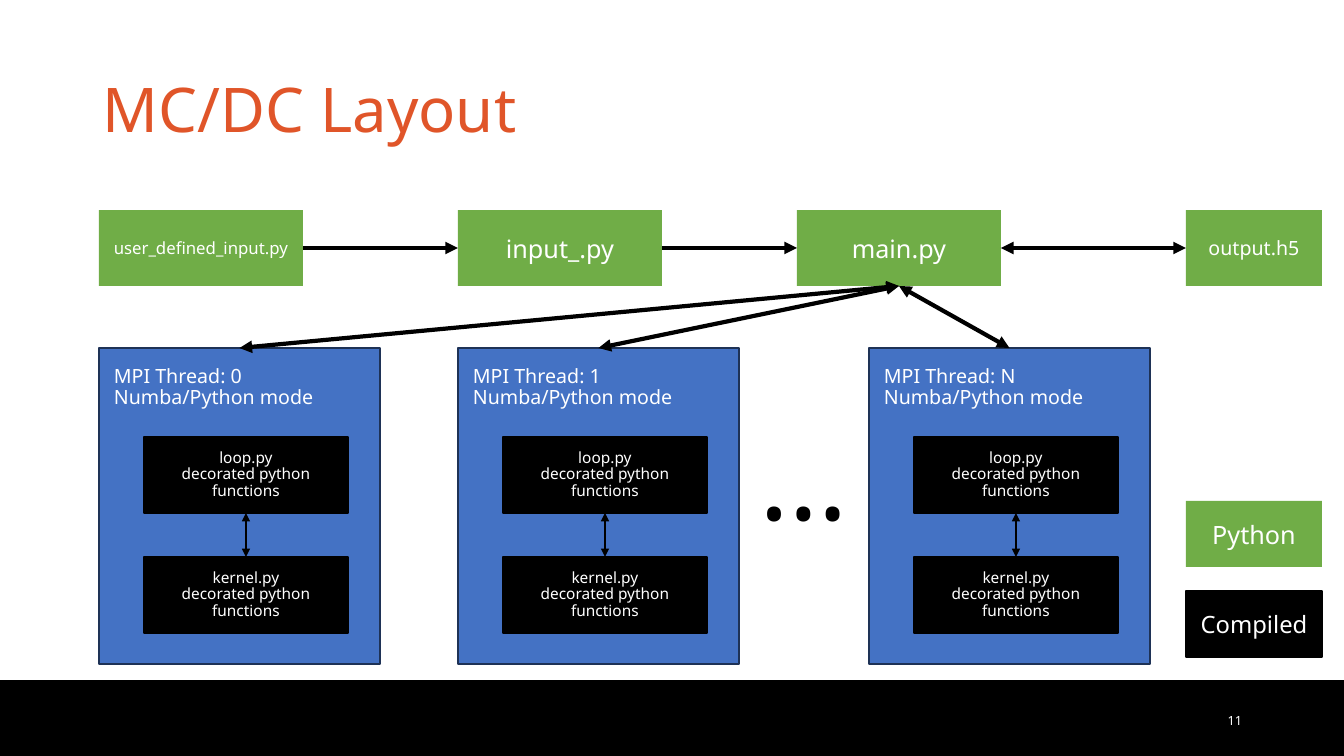
from lxml import etree
from pptx import Presentation
from pptx.dml.color import RGBColor
from pptx.enum.shapes import MSO_CONNECTOR, MSO_SHAPE
from pptx.enum.text import MSO_ANCHOR, PP_ALIGN
from pptx.oxml.ns import qn
from pptx.util import Pt

PX = 9071.43  # EMU per px
WIDTH, HEIGHT = 1344, 756
FONT = "Noto Sans"
ORANGE = RGBColor(0xE0, 0x55, 0x29)
GREEN = RGBColor(0x70, 0xAD, 0x47)
BLUE = RGBColor(0x44, 0x72, 0xC4)
NAVY = RGBColor(0x1E, 0x32, 0x56)
BLACK = RGBColor(0, 0, 0)
WHITE = RGBColor(0xFF, 0xFF, 0xFF)

RECT, STRAIGHT = MSO_SHAPE.RECTANGLE, MSO_CONNECTOR.STRAIGHT
LEFT, CENTER, RIGHT = PP_ALIGN.LEFT, PP_ALIGN.CENTER, PP_ALIGN.RIGHT
ANCHOR_TOP, ANCHOR_MIDDLE = MSO_ANCHOR.TOP, MSO_ANCHOR.MIDDLE
SITE_TOP, SITE_LEFT, SITE_BOTTOM, SITE_RIGHT = range(4)  # rectangle sites


def emu(*lengths):
    return [round(v * PX) for v in lengths]


def write(sp, text, size, color=WHITE, align=CENTER, anchor=ANCHOR_MIDDLE, spacing=None):
    tf = sp.text_frame
    tf.word_wrap = True
    tf.vertical_anchor = anchor
    p = tf.paragraphs[0]
    p.alignment = align
    p.line_spacing = spacing
    for i, line in enumerate(text.split("\n")):
        if i:
            p.add_line_break()
        r = p.add_run()
        r.text = line
        r.font.name = FONT
        r.font.size = Pt(size)
        r.font.color.rgb = color


def add_text(s, box, text, size, **style):
    write(s.shapes.add_textbox(*emu(*box)), text, size, **style)


def add_rect(s, box, fill, line=None):
    sp = s.shapes.add_shape(RECT, *emu(*box))
    sp.shadow.inherit = False
    sp.fill.solid()
    sp.fill.fore_color.rgb = fill
    if line is None:
        sp.line.fill.background()
    else:
        sp.line.color.rgb = line
        sp.line.width = Pt(1)
    return sp


def add_arrow(s, start, start_site, end, end_site, width=3, both=True):
    cxn = s.shapes.add_connector(STRAIGHT, 0, 0, 0, 0)
    cxn.begin_connect(start, start_site)
    cxn.end_connect(end, end_site)
    cxn.line.color.rgb = BLACK
    cxn.line.width = Pt(width)
    ln = cxn.line._get_or_add_ln()
    for tag in ("a:headEnd", "a:tailEnd") if both else ("a:tailEnd",):
        etree.SubElement(ln, qn(tag)).set("type", "triangle")
    etree.SubElement(cxn._element.spPr, qn("a:effectLst"))


def add_frame(s):
    """Footer bar, title and slide number."""
    add_rect(s, (0, 681, WIDTH, 75), BLACK, BLACK)
    add_text(s, (93, 40, 1055, 146), "MC/DC Layout", 44,
             color=ORANGE, align=LEFT, anchor=ANCHOR_MIDDLE, spacing=0.9)
    add_text(s, (950, 701, 302, 40), "11", 9, align=RIGHT)


def add_files(s, y):
    """Row of files from user input to output; returns the main.py box."""
    files = [(99, 204, "user_defined_input.py", 12), (458, 204, "input_.py", 18),
             (797, 204, "main.py", 18), (1186, 136, "output.h5", 14)]
    boxes = []
    for x, w, name, size in files:
        sp = add_rect(s, (x, y, w, 76), GREEN)
        write(sp, name, size)
        boxes.append(sp)
    user, reader, main_box, output = boxes
    add_arrow(s, user, SITE_RIGHT, reader, SITE_LEFT, both=False)
    add_arrow(s, reader, SITE_RIGHT, main_box, SITE_LEFT, both=False)
    add_arrow(s, main_box, SITE_RIGHT, output, SITE_LEFT)
    return main_box


def add_thread(s, x, y, rank):
    """One MPI thread panel with its two compiled modules."""
    panel = add_rect(s, (x, y, 281, 316), BLUE, NAVY)
    add_text(s, (x + 5, y + 14, 239, 57), f"MPI Thread: {rank}\nNumba/Python mode", 14,
             align=LEFT, anchor=ANCHOR_TOP, spacing=0.88)
    modules = []
    for dy, name in ((89, "loop.py"), (209, "kernel.py")):
        sp = add_rect(s, (x + 45, y + dy, 204, 76), BLACK, BLACK)
        write(sp, f"{name}\ndecorated python functions", 11, spacing=0.88)
        modules.append(sp)
    loop, kernel = modules
    add_arrow(s, loop, SITE_BOTTOM, kernel, SITE_TOP, width=1)
    return panel


def add_legend(s, x, y):
    """Colour key for Python and compiled parts."""
    write(add_rect(s, (x, y, 136, 66), GREEN), "Python", 18)
    write(add_rect(s, (x, y + 90, 136, 66), BLACK, BLACK), "Compiled", 17)


def main():
    prs = Presentation()
    prs.slide_width, prs.slide_height = emu(WIDTH, HEIGHT)
    s = prs.slides.add_slide(prs.slide_layouts[6])
    add_frame(s)
    main_box = add_files(s, 210)
    for x, rank in ((99, "0"), (458, "1"), (869, "N")):
        panel = add_thread(s, x, 348, rank)
        add_arrow(s, panel, SITE_TOP, main_box, SITE_BOTTOM)
    add_text(s, (739, 404, 130, 146), "…", 80, color=BLACK, anchor=ANCHOR_TOP)
    add_legend(s, 1186, 501)
    prs.save("out.pptx")


if __name__ == "__main__":
    main()
